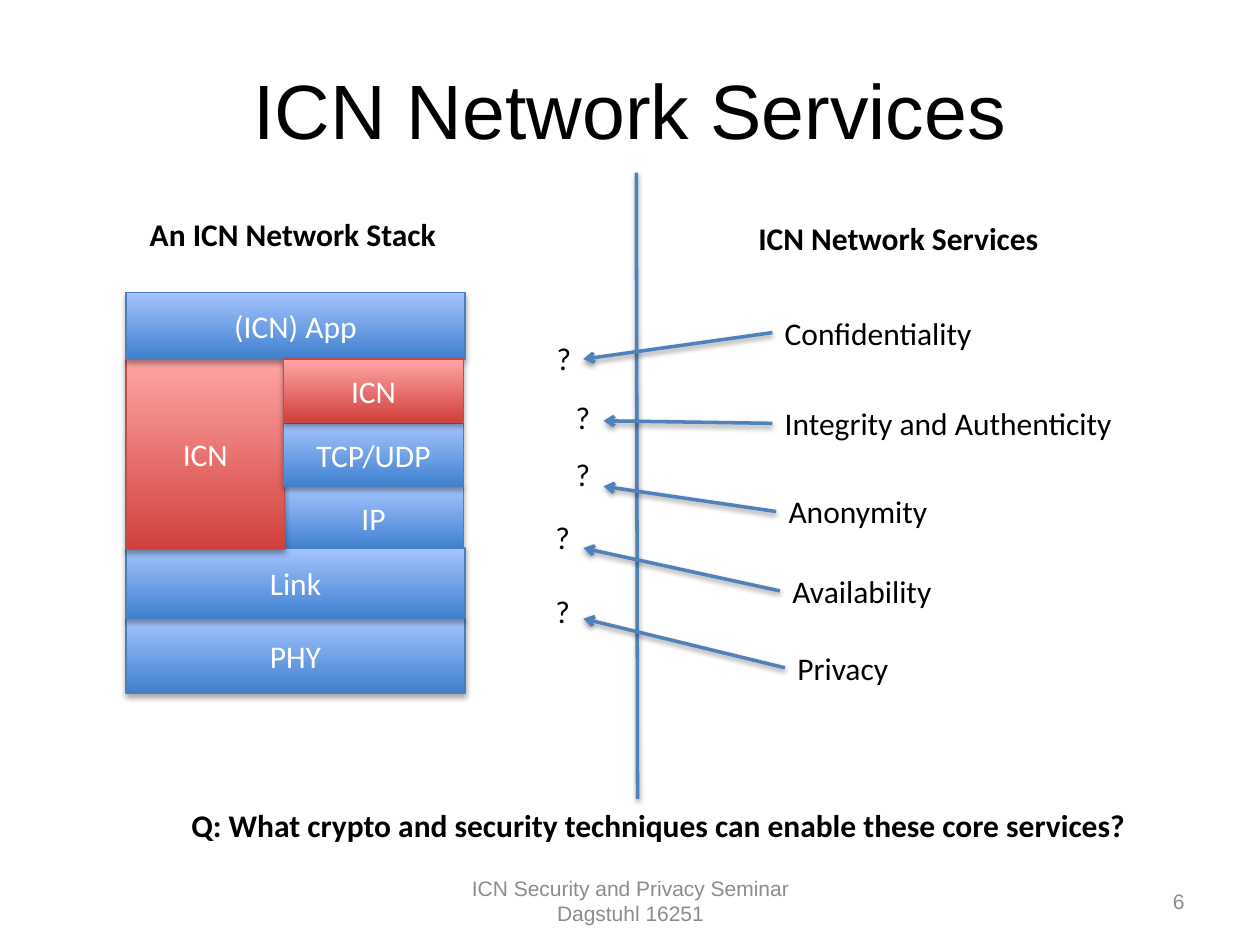
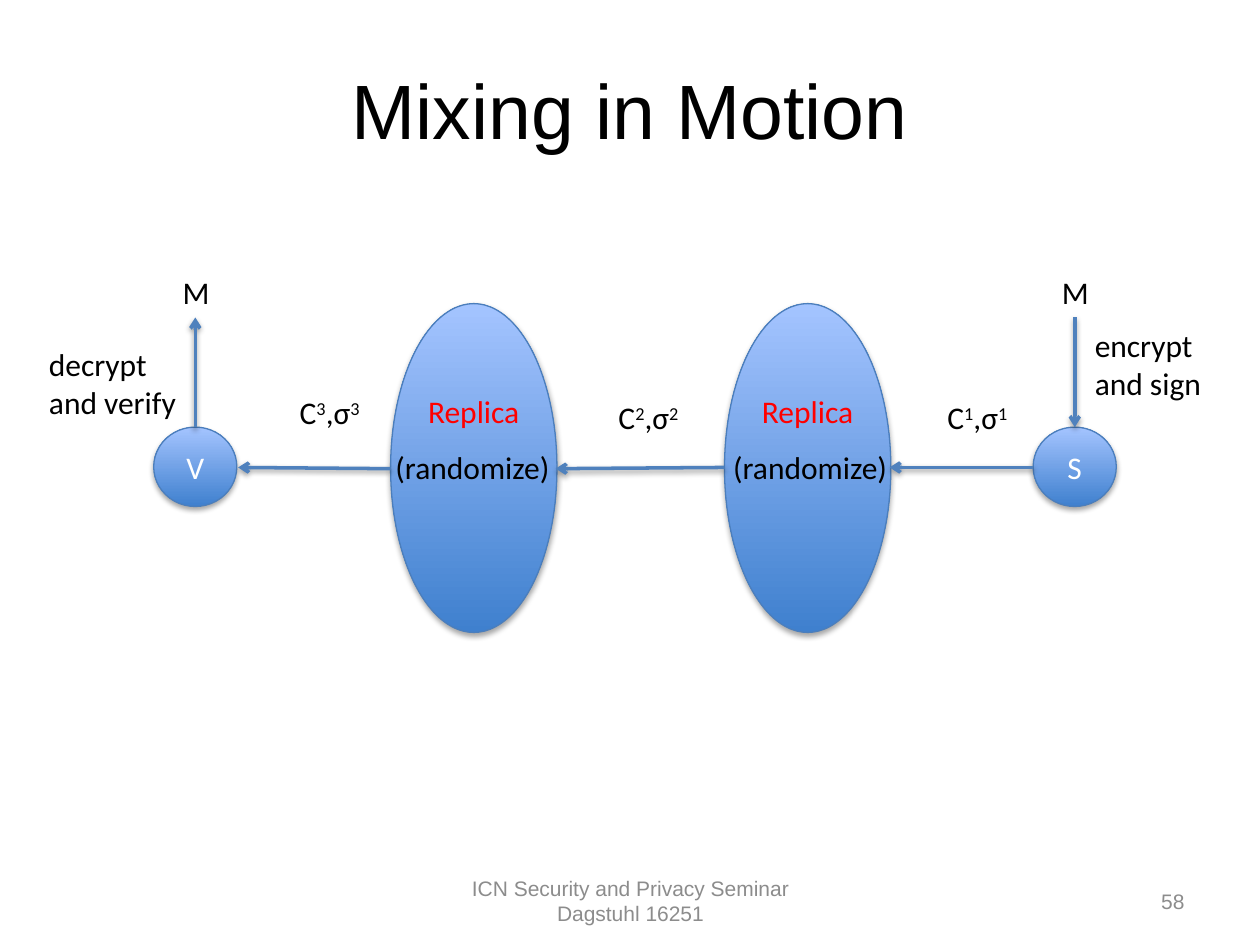
from lxml.etree import SubElement
from pptx import Presentation
from pptx.dml.color import RGBColor
from pptx.enum.shapes import MSO_CONNECTOR, MSO_SHAPE
from pptx.enum.text import MSO_ANCHOR, MSO_AUTO_SIZE, PP_ALIGN
from pptx.oxml.ns import qn
from pptx.util import Emu, Pt

EMU_PER_PX = 9144
BLACK, WHITE, GREY, RED = "000000", "FFFFFF", "8C8C8C", "FF0000"
LINE_BLUE = "4F81BD"
BLUE_THEME = ("3F80CE", "A4C4FF", "4B7EBC")
RED_THEME = ("D1403C", "FFA6A5", "BF4C48")
FOOTER = "ICN Security and Privacy Seminar\nDagstuhl 16251"
BODY_FONT = {"name": "Calibri", "size": Pt(18), "bold": False}
BOLD_FONT = {**BODY_FONT, "bold": True}
TITLE_FONT = {"name": "Arial", "size": Pt(44)}
FOOTER_FONT = {"name": "Arial", "size": Pt(12)}


def px(length):
    return Emu(length * EMU_PER_PX)


def color(hex_code):
    return RGBColor.from_string(hex_code)


def apply_format(target, values):
    for name, value in values.items():
        setattr(target, name, value)


def add_shadow(shape, opacity, distance):
    effects = SubElement(shape.element.spPr, qn("a:effectLst"))
    shadow = SubElement(effects, qn("a:outerShdw"), blurRad="40000",
                        dist=str(distance), dir="5400000", rotWithShape="0")
    black = SubElement(shadow, qn("a:srgbClr"), val=BLACK)
    SubElement(black, qn("a:alpha"), val=str(opacity * 1000))


def add_span(para, text, font, hex_code, raised):
    span = para.add_run()
    span.text = text
    apply_format(span.font, font)
    span.font.color.rgb = color(hex_code)
    if raised:
        span._r.get_or_add_rPr().set("baseline", "30000")


def write_text(frame, text, font, hex_code, align):
    for index, paragraph_text in enumerate(text.split("\n")):
        para = frame.add_paragraph() if index else frame.paragraphs[0]
        para.alignment = align
        for row, line_text in enumerate(paragraph_text.split("\v")):
            if row:
                para.add_line_break()
            for place, piece in enumerate(line_text.split("^")):
                add_span(para, piece, font, hex_code, place % 2 == 1)


def add_text(page, bounds, text, font, hex_code=BLACK, align=PP_ALIGN.LEFT, **frame_format):
    box = page.shapes.add_textbox(*map(px, bounds))
    apply_format(box.text_frame, {"word_wrap": True, **frame_format})
    write_text(box.text_frame, text, font, hex_code, align)


def add_label(page, left, top, width, text, font=BODY_FONT, height=40):
    add_text(page, (left, top, width, height), text, font,
             word_wrap=False, auto_size=MSO_AUTO_SIZE.SHAPE_TO_FIT_TEXT)


def add_node(page, kind, bounds, text, theme=BLUE_THEME, hex_code=WHITE, lift=5):
    node = page.shapes.add_shape(kind, *map(px, bounds))
    bottom, top, edge = theme
    node.fill.gradient()
    node.fill.gradient_angle = 90
    for stop, shade in zip(node.fill.gradient_stops, (bottom, top)):
        stop.color.rgb = color(shade)
    node.line.color.rgb = color(edge)
    node.line.width = Pt(0.75)
    add_shadow(node, 35, 23000)
    apply_format(node.text_frame, {
        "word_wrap": True, "vertical_anchor": MSO_ANCHOR.MIDDLE,
        "margin_left": px(5), "margin_right": px(5), "margin_bottom": px(lift)})
    write_text(node.text_frame, text, BODY_FONT, hex_code, PP_ALIGN.CENTER)


def add_line(page, start, end, arrow=True):
    line = page.shapes.add_connector(MSO_CONNECTOR.STRAIGHT, *map(px, start + end))
    line.line.color.rgb = color(LINE_BLUE)
    line.line.width = Pt(2)
    if arrow:
        SubElement(line.element.spPr.find(qn("a:ln")), qn("a:tailEnd"), type="arrow")
    add_shadow(line, 38, 20000)


def add_page(deck, title, number):
    page = deck.slides.add_slide(deck.slide_layouts[6])
    add_text(page, (50, 40, 900, 125), title, TITLE_FONT,
             align=PP_ALIGN.CENTER, margin_top=px(10))
    for bounds, text, align in (
        ((342, 695, 317, 40), FOOTER, PP_ALIGN.CENTER),
        ((717, 695, 233, 40), str(number), PP_ALIGN.RIGHT),
    ):
        add_text(page, bounds, text, FOOTER_FONT, GREY, align,
                 vertical_anchor=MSO_ANCHOR.MIDDLE)
    return page


def build_services(deck):
    page = add_page(deck, "ICN Network Services", 6)
    for bounds, text, theme in (
        ((225, 386, 143, 50), "IP", BLUE_THEME),
        ((100, 491, 269, 59), "PHY", BLUE_THEME),
        ((100, 435, 269, 56), "Link", BLUE_THEME),
        ((100, 285, 126, 151), "ICN", RED_THEME),
        ((100, 232, 269, 53), "(ICN) App", BLUE_THEME),
        ((225, 336, 143, 50), "TCP/UDP", BLUE_THEME),
        ((225, 285, 143, 50), "ICN", RED_THEME),
    ):
        add_node(page, MSO_SHAPE.RECTANGLE, bounds, text, theme)

    add_label(page, 109, 166, 250, "An ICN Network Stack", BOLD_FONT)
    add_label(page, 592, 169, 245, "ICN Network Services", BOLD_FONT)
    add_line(page, (506, 634), (505, 137), arrow=False)
    for service, left, top, width, tip, mark in (
        ("Confidentiality", 613, 244, 170, (463, 285), (432, 264)),
        ("Integrity and Authenticity", 613, 316, 283, (479, 334), (447, 311)),
        ("Anonymity", 616, 386, 132, (479, 386), (447, 356)),
        ("Availability", 619, 449, 132, (463, 435), (431, 406)),
        ("Privacy", 623, 510, 93, (463, 491), (431, 465)),
    ):
        add_label(page, left, top, width, service)
        add_line(page, (left, top + 20), tip)
        add_label(page, *mark, 32, "?")
    add_label(page, 142, 635, 771,
              "Q: What crypto and security techniques can enable these core services?",
              BOLD_FONT)


def build_mixing(deck):
    page = add_page(deck, "Mixing in Motion", 58)
    for left, name in ((122, "V"), (820, "S")):
        add_node(page, MSO_SHAPE.OVAL, (left, 339, 66, 63), name)
        add_label(page, left + 13, 212, 42, "M")
    for left, label_left in ((310, 304), (575, 572)):
        add_node(page, MSO_SHAPE.OVAL, (left, 241, 132, 261), "Replica",
                 hex_code=RED, lift=96)
        add_label(page, label_left, 351, 145, "(randomize)")
    for start, end in (
        ((820, 371), (706, 371)),
        ((575, 371), (441, 372)),
        ((310, 372), (189, 371)),
        ((853, 252), (853, 339)),
        ((155, 339), (155, 252)),
    ):
        add_line(page, start, end)
    for step, left, top in ((1, 742, 311), (2, 481, 311), (3, 228, 307)):
        add_label(page, left, top, 71, f"C^{step}^,σ^{step}")
    add_label(page, 859, 254, 105, "encrypt\vand sign", height=71)
    add_label(page, 29, 269, 123, "decrypt\vand verify", height=71)


def main():
    deck = Presentation()
    deck.slide_width, deck.slide_height = px(1000), px(750)
    build_services(deck)
    build_mixing(deck)
    deck.save("out.pptx")


if __name__ == "__main__":
    main()
